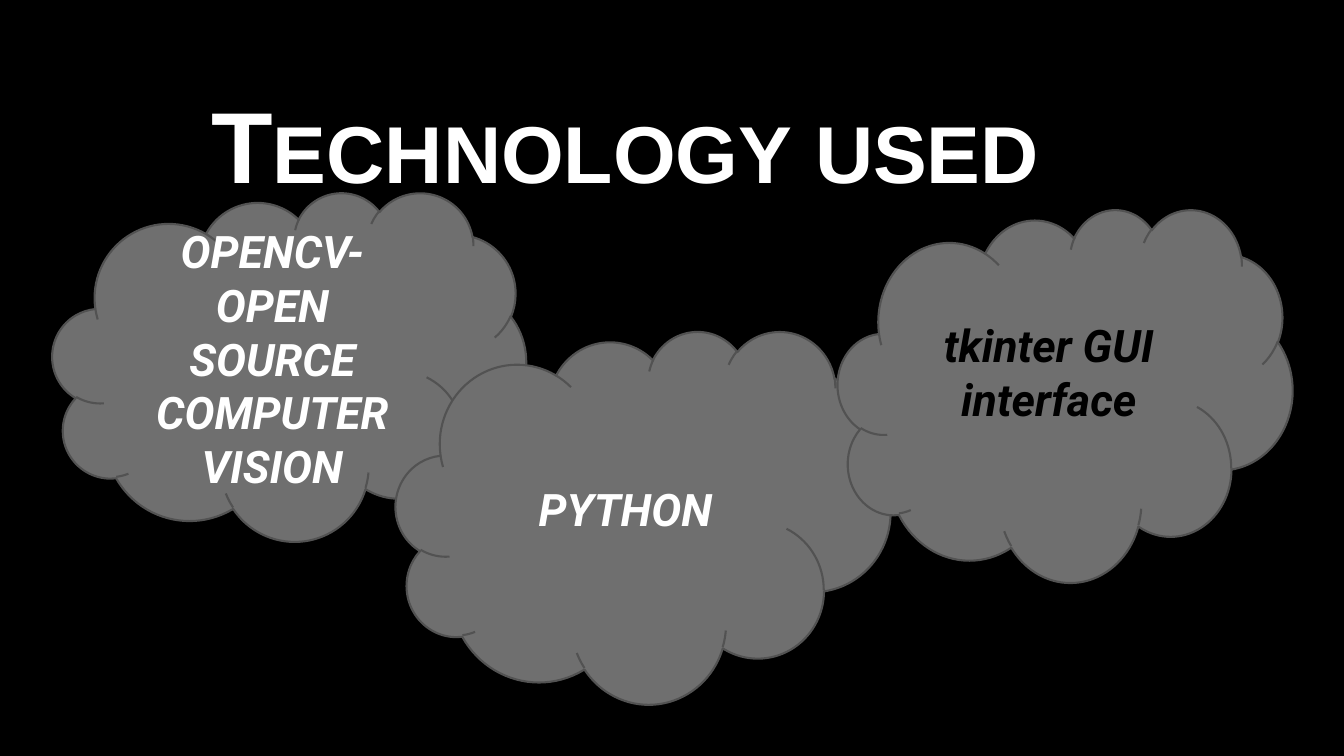
from dataclasses import dataclass

from pptx import Presentation
from pptx.dml.color import RGBColor
from pptx.enum import shapes, text
from pptx.shapes.autoshape import Shape
from pptx.slide import Slide
from pptx.text.text import TextFrame
from pptx.util import Emu, Pt

PX = 9525
BLACK = RGBColor(0x00, 0x00, 0x00)
WHITE = RGBColor(0xFF, 0xFF, 0xFF)
CLOUD_GRAY = RGBColor(0x6F, 0x6F, 0x6F)
OUTLINE_GRAY = RGBColor(0x52, 0x52, 0x52)

TITLE_FORMAT = {"name": "Arial", "size": Pt(72), "bold": True}
CLOUD_FORMAT = {"name": "Roboto", "size": Pt(32), "bold": True, "italic": True}


@dataclass(frozen=True)
class Cloud:
    left: int
    top: int
    width: int
    height: int
    lines: tuple[str, ...]
    color: RGBColor = WHITE
    bottom_inset: int = 5


CLOUDS = (
    Cloud(50, 183, 451, 332, ("OPENCV-OPEN SOURCE", "COMPUTER VISION")),
    Cloud(377, 315, 471, 355, ("PYTHON",)),
    Cloud(798, 199, 433, 355, ("tkinter GUI interface",), BLACK, 34),
)


def px(*lengths: int) -> list[Emu]:
    return [Emu(length * PX) for length in lengths]


def write_lines(frame: TextFrame, lines: tuple[str, ...],
                font_format: dict, color: RGBColor) -> None:
    frame.word_wrap = True
    for index, line in enumerate(lines):
        paragraph = frame.add_paragraph() if index else frame.paragraphs[0]
        paragraph.alignment = text.PP_ALIGN.CENTER
        run = paragraph.add_run()
        run.text = line
        for name, value in font_format.items():
            setattr(run.font, name, value)
        run.font.color.rgb = color


def add_title(slide: Slide, title: str) -> None:
    shape = slide.shapes.add_textbox(*px(58, 74, 1075, 172))
    write_lines(shape.text_frame, (title,), TITLE_FORMAT, WHITE)
    run = shape.text_frame.paragraphs[0].runs[0]
    run._r.get_or_add_rPr().set("cap", "small")


def add_cloud(slide: Slide, cloud: Cloud) -> Shape:
    shape = slide.shapes.add_shape(
        shapes.MSO_SHAPE.CLOUD,
        *px(cloud.left, cloud.top, cloud.width, cloud.height))
    shape.shadow.inherit = False
    shape.fill.solid()
    shape.fill.fore_color.rgb = CLOUD_GRAY
    shape.line.color.rgb = OUTLINE_GRAY
    shape.line.width = Pt(1.5)
    frame = shape.text_frame
    frame.vertical_anchor = text.MSO_ANCHOR.MIDDLE
    frame.margin_bottom = px(cloud.bottom_inset)[0]
    write_lines(frame, cloud.lines, CLOUD_FORMAT, cloud.color)
    return shape


def main() -> None:
    presentation = Presentation()
    presentation.slide_width, presentation.slide_height = px(1280, 720)
    slide = presentation.slides.add_slide(presentation.slide_layouts[6])
    slide.background.fill.solid()
    slide.background.fill.fore_color.rgb = BLACK
    add_title(slide, "Technology used")
    for cloud in CLOUDS:
        add_cloud(slide, cloud)
    presentation.save("out.pptx")


if __name__ == "__main__":
    main()
